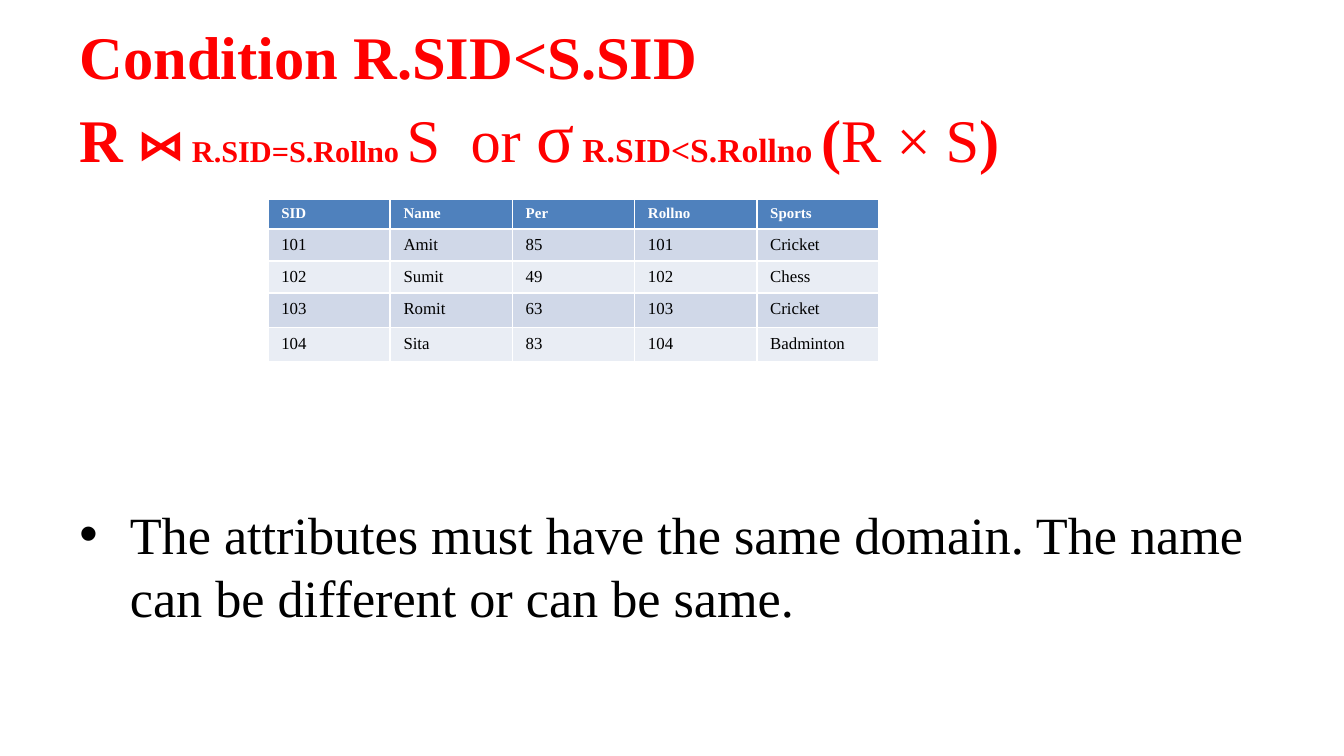
import pptx
import pptx.util
import pptx.dml.color
import pptx.enum.text
import lxml.etree

Pt = pptx.util.Pt
RGBColor = pptx.dml.color.RGBColor
PP_ALIGN = pptx.enum.text.PP_ALIGN
MSO_ANCHOR = pptx.enum.text.MSO_ANCHOR
MSO_AUTO_SIZE = pptx.enum.text.MSO_AUTO_SIZE

RED = RGBColor(0xFF, 0x00, 0x00)
BLACK = RGBColor(0x00, 0x00, 0x00)
WHITE = RGBColor(0xFF, 0xFF, 0xFF)
HEADER_BLUE = RGBColor(0x4F, 0x81, 0xBD)
BANDS = (RGBColor(0xD0, 0xD8, 0xE8), RGBColor(0xE9, 0xED, 0xF4))


class SlideBuilder:
    font_name = "Times New Roman"

    def __init__(self, slide):
        self.slide = slide

    def set_values(self, target, values):
        for key, value in values.items():
            setattr(target, key, value)

    def place(self, shape, left, top, width, height):
        self.set_values(shape, dict(left=Pt(left), top=Pt(top), width=Pt(width), height=Pt(height)))

    def add_run(self, paragraph, text, size, color, bold=False):
        run = paragraph.add_run()
        run.text = text
        self.set_values(run.font, dict(name=self.font_name, size=Pt(size), bold=bold))
        run.font.color.rgb = color

    def title(self, box, lines):
        heading = self.slide.shapes.title
        self.place(heading, *box)
        self.set_values(heading.text_frame, dict(
            word_wrap=True, auto_size=MSO_AUTO_SIZE.NONE, vertical_anchor=MSO_ANCHOR.MIDDLE))
        paragraph = heading.text_frame.paragraphs[0]
        paragraph.alignment = PP_ALIGN.LEFT
        for index, parts in enumerate(lines):
            if index:
                paragraph.add_line_break()
            for text, size, bold in parts:
                self.add_run(paragraph, text, size, RED, bold)

    def table(self, left, top, column_width, row_heights, rows):
        columns = len(rows[0])
        frame = self.slide.shapes.add_table(
            len(rows), columns, Pt(left), Pt(top),
            Pt(column_width * columns), Pt(sum(row_heights)))
        grid = frame.table
        for column in grid.columns:
            column.width = Pt(column_width)
        for row_index, values in enumerate(rows):
            grid.rows[row_index].height = Pt(row_heights[row_index])
            header = row_index == 0
            fill = HEADER_BLUE if header else BANDS[(row_index - 1) % 2]
            for column_index, value in enumerate(values):
                cell = grid.cell(row_index, column_index)
                cell.fill.solid()
                cell.fill.fore_color.rgb = fill
                self.add_run(cell.text_frame.paragraphs[0], value,
                             8 if header else 9, WHITE if header else BLACK, header)

    def bullet(self, box, text, size, top_inset, indent, line_height):
        note = self.slide.shapes.add_textbox(*map(Pt, box))
        self.set_values(note.text_frame, dict(
            word_wrap=True, auto_size=MSO_AUTO_SIZE.NONE, margin_top=Pt(top_inset)))
        paragraph = note.text_frame.paragraphs[0]
        paragraph.line_spacing = Pt(line_height)
        self.add_run(paragraph, text, size, BLACK)
        properties = paragraph._p.get_or_add_pPr()
        properties.set("marL", str(Pt(indent)))
        properties.set("indent", str(-Pt(indent)))
        for tag, attribute, value in (("buFont", "typeface", "Arial"), ("buChar", "char", "•")):
            mark = lxml.etree.SubElement(properties, pptx.oxml.ns.qn("a:" + tag))
            mark.set(attribute, value)


presentation = pptx.Presentation()
presentation.slide_width = Pt(720)
presentation.slide_height = Pt(405)
builder = SlideBuilder(presentation.slides.add_slide(presentation.slide_layouts[5]))

builder.title((35.5, 22, 649, 60.5), [
    [("Condition R.SID<S.SID", 32.4, True)],
    [
        ("R\u00a0⋈", 32.4, True),
        (" ", 16.2, False),
        ("R.SID=S.Rollno ", 16.2, True),
        ("S  or ", 32.4, False),
        ("σ", 37.8, False),
        (" R.SID<S.Rollno ", 18, True),
        ("(", 32.4, True),
        ("R × S", 32.4, False),
        (")", 32.4, True),
    ],
])

builder.bullet(
    (35.5, 106.5, 649, 276.5),
    "The attributes must have the same domain. The name can be different or can be same.",
    size=28, top_inset=162, indent=27, line_height=34)

builder.table(143.5, 106.5, 65.5, [15.5, 15.5, 11.5, 18.5, 18.5], [
    ["SID", "Name", "Per", "Rollno", "Sports"],
    ["101", "Amit", "85", "101", "Cricket"],
    ["102", "Sumit", "49", "102", "Chess"],
    ["103", "Romit", "63", "103", "Cricket"],
    ["104", "Sita", "83", "104", "Badminton"],
])

presentation.save("out.pptx")
